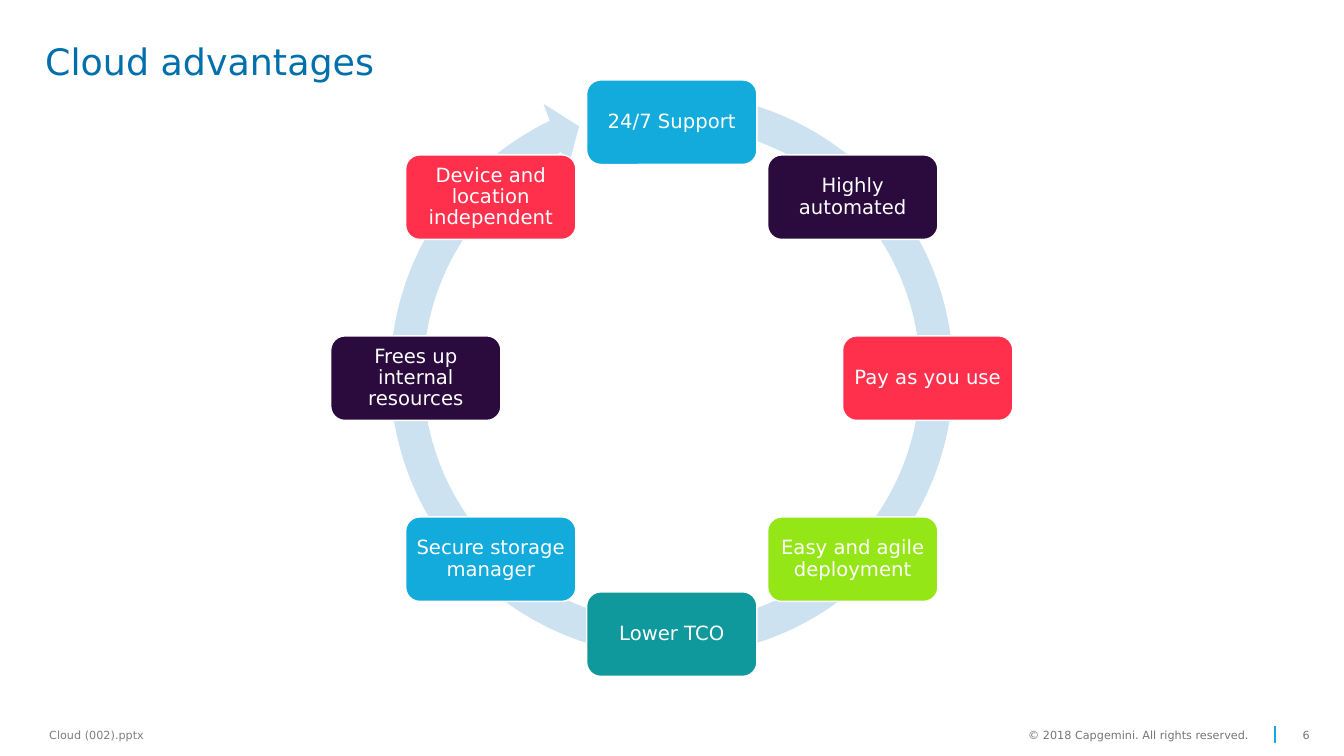
from dataclasses import dataclass
from math import cos, pi, sin

from lxml.etree import SubElement
from pptx import Presentation
from pptx.dml.color import RGBColor
from pptx.enum.shapes import MSO_CONNECTOR, MSO_SHAPE
from pptx.enum.text import MSO_ANCHOR, PP_ALIGN
from pptx.oxml.ns import qn
from pptx.util import Cm, Pt


@dataclass(frozen=True)
class Theme:
    font: str = "DejaVu Sans"
    title_size: int = 26
    box_size: int = 14
    footer_size: int = 8
    title: str = "0070AD"
    white: str = "FFFFFF"
    ring: str = "CCE2F1"
    blue: str = "12ABDB"
    purple: str = "2B0A3D"
    red: str = "FF304C"
    green: str = "95E616"
    teal: str = "0F999C"
    file_name: str = "808080"
    footer: str = "767676"


class SlideBuilder:
    def __init__(self, slide, theme):
        self.slide = slide
        self.theme = theme

    def fill_text(self, shape, text, size, color, inset=0, spacing=1.0,
                  align=PP_ALIGN.LEFT, anchor=MSO_ANCHOR.MIDDLE):
        frame = shape.text_frame
        frame.word_wrap = True
        frame.vertical_anchor = anchor
        frame.margin_left = frame.margin_right = Cm(inset)
        frame.margin_top = frame.margin_bottom = Cm(inset)
        paragraph = frame.paragraphs[0]
        paragraph.alignment = align
        paragraph.line_spacing = spacing
        run = paragraph.add_run()
        run.text = text
        run.font.name = self.theme.font
        run.font.size = Pt(size)
        run.font.color.rgb = RGBColor.from_string(color)

    def text(self, left, top, width, height, text, size, color, **style):
        shape = self.slide.shapes.add_textbox(
            Cm(left), Cm(top), Cm(width), Cm(height))
        self.fill_text(shape, text, size, color, **style)

    def centred_shape(self, kind, x, y, width, height, fill):
        shape = self.slide.shapes.add_shape(
            kind, Cm(x - width / 2), Cm(y - height / 2), Cm(width), Cm(height))
        shape.shadow.inherit = False
        shape.fill.solid()
        shape.fill.fore_color.rgb = RGBColor.from_string(fill)
        return shape

    def ring(self, x, y, diameter, adjustments):
        shape = self.centred_shape(MSO_SHAPE.CIRCULAR_ARROW, x, y,
                                   diameter, diameter, self.theme.ring)
        shape.line.fill.background()
        for index, value in enumerate(adjustments):
            shape.adjustments[index] = value

    def box(self, x, y, text, fill):
        shape = self.centred_shape(MSO_SHAPE.ROUNDED_RECTANGLE, x, y,
                                   4.29, 2.13, fill)
        shape.line.color.rgb = RGBColor.from_string(self.theme.white)
        shape.line.width = Pt(1)
        self.fill_text(shape, text, self.theme.box_size, self.theme.white,
                       inset=0.14, spacing=0.9, align=PP_ALIGN.CENTER)

    def divider(self, x, top, bottom, color):
        line = self.slide.shapes.add_connector(
            MSO_CONNECTOR.STRAIGHT, Cm(x), Cm(bottom), Cm(x), Cm(top))
        line.line.color.rgb = RGBColor.from_string(color)
        line.line.width = Pt(1)
        SubElement(line._element.spPr, qn("a:effectLst"))


def main():
    theme = Theme()
    presentation = Presentation()
    presentation.slide_width = Cm(33.87)
    presentation.slide_height = Cm(19.05)
    slide = presentation.slides.add_slide(presentation.slide_layouts[6])
    builder = SlideBuilder(slide, theme)

    # Footer
    footer_top, footer_height = 18.21, 0.61
    builder.divider(32.13, 18.29, 18.72, theme.blue)
    builder.text(1.14, footer_top, 8.51, footer_height, "Cloud (002).pptx",
                 theme.footer_size, theme.file_name, inset=0.1)
    builder.text(25.91, footer_top, 6.17, footer_height,
                 "© 2018 Capgemini. All rights reserved.",
                 theme.footer_size, theme.footer)
    builder.text(32.74, footer_top, 0.36, footer_height, "6",
                 theme.footer_size, theme.footer, align=PP_ALIGN.CENTER)

    # Title
    builder.text(1.14, 1.12, 30.61, 2.39, "Cloud advantages",
                 theme.title_size, theme.title, spacing=0.9,
                 anchor=MSO_ANCHOR.TOP)

    # Cycle: boxes run clockwise from the top at equal angles
    center_x, center_y, radius = 16.93, 9.53, 6.45
    builder.ring(center_x, 9.44, 15.11, (0.055, 3.307, 146.406, 168.791, 0.058))
    advantages = (
        ("24/7 Support", theme.blue),
        ("Highly automated", theme.purple),
        ("Pay as you use", theme.red),
        ("Easy and agile deployment", theme.green),
        ("Lower TCO", theme.teal),
        ("Secure storage manager", theme.blue),
        ("Frees up internal resources", theme.purple),
        ("Device and location independent", theme.red),
    )
    for index, (label, fill) in enumerate(advantages):
        angle = 2 * pi * index / len(advantages)
        builder.box(center_x + radius * sin(angle),
                    center_y - radius * cos(angle), label, fill)

    presentation.save("out.pptx")


if __name__ == "__main__":
    main()
